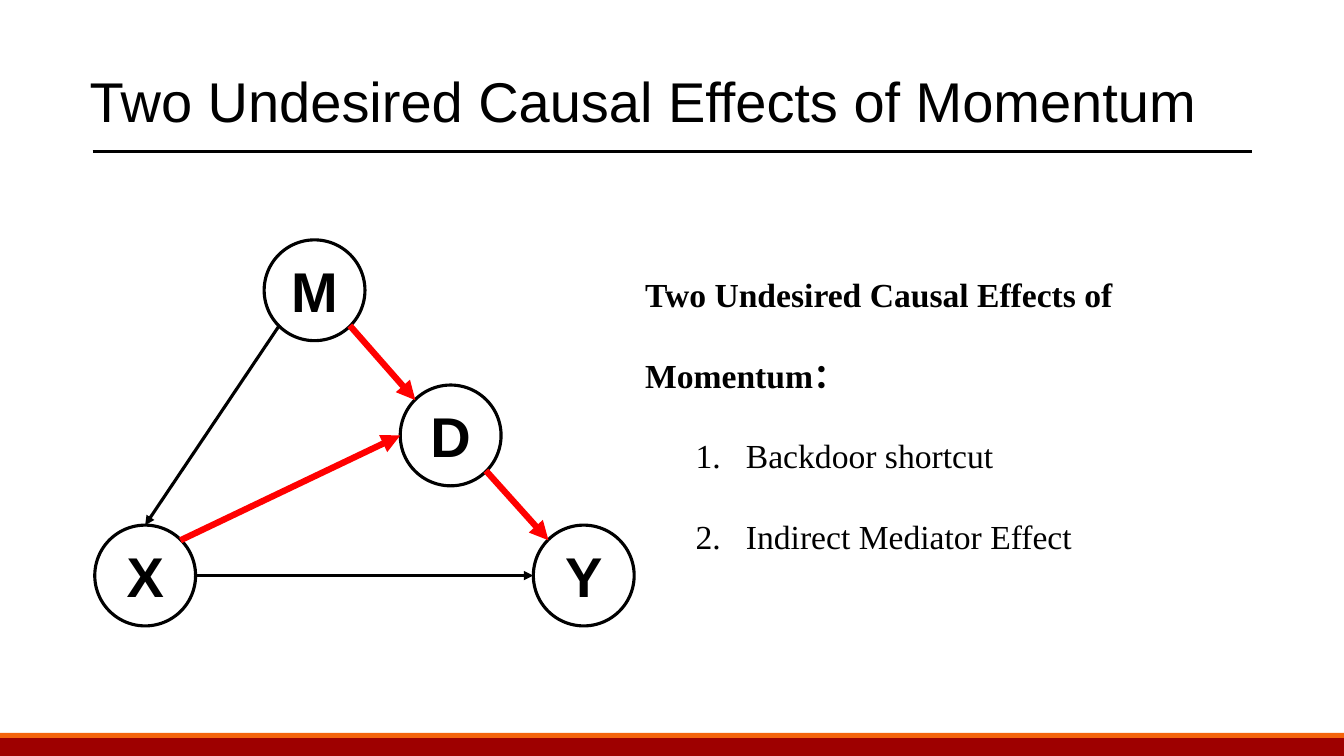
from lxml import etree
from pptx import Presentation
from pptx.dml.color import RGBColor
from pptx.enum.shapes import MSO_CONNECTOR, MSO_SHAPE
from pptx.enum.text import MSO_ANCHOR, PP_ALIGN
from pptx.oxml.ns import qn
from pptx.util import Pt

PX = 9144
RECT = MSO_SHAPE.RECTANGLE
OVAL = MSO_SHAPE.OVAL
LINE = MSO_CONNECTOR.STRAIGHT
MIDDLE = MSO_ANCHOR.MIDDLE
CENTER = PP_ALIGN.CENTER
BLACK = RGBColor(0, 0, 0)
WHITE = RGBColor(255, 255, 255)
RED = RGBColor(255, 0, 0)
MAROON = RGBColor(0x9E, 0, 0)
ORANGE = RGBColor(0xF5, 0x64, 0x0B)
SANS = "Arial"
SERIF = "Times New Roman"
RADIUS = 50
DIAG = 35
SIDES = {
    "top": (0, -RADIUS), "left": (-RADIUS, 0), "right": (RADIUS, 0),
    "top left": (-DIAG, -DIAG), "top right": (DIAG, -DIAG),
    "low left": (-DIAG, DIAG), "low right": (DIAG, DIAG),
}


class Canvas:
    def __init__(self, slide):
        self.shapes = slide.shapes

    def run(self, para, text, size, font, bold=False):
        run = para.add_run()
        run.text = text
        run.font.size = Pt(size)
        run.font.name = font
        run.font.bold = bold
        run.font.color.rgb = BLACK

    def shape(self, kind, box, fill):
        shape = self.shapes.add_shape(kind, *(n * PX for n in box))
        shape.shadow.inherit = False
        shape.fill.solid()
        shape.fill.fore_color.rgb = fill
        shape.line.fill.background()
        return shape

    def node(self, name, x, y):
        box = (x - RADIUS, y - RADIUS, 2 * RADIUS, 2 * RADIUS)
        shape = self.shape(OVAL, box, WHITE)
        shape.line.color.rgb = BLACK
        shape.line.width = Pt(2.25)
        shape.text_frame.vertical_anchor = MIDDLE
        para = shape.text_frame.paragraphs[0]
        para.alignment = CENTER
        self.run(para, name, 40, SANS, True)

    def line(self, start, end, color=BLACK, width=2.25, arrow=False):
        line = self.shapes.add_connector(LINE, *(n * PX for n in start + end))
        line.line.color.rgb = color
        line.line.width = Pt(width)
        if arrow:
            stroke = line.line._get_or_add_ln()
            etree.SubElement(stroke, qn("a:tailEnd"), type="triangle")
        etree.SubElement(line._element.spPr, qn("a:effectLst"))

    def frame(self, box):
        frame = self.shapes.add_textbox(*(n * PX for n in box)).text_frame
        frame.word_wrap = True
        return frame

    def title(self, text, box):
        frame = self.frame(box)
        frame.vertical_anchor = MIDDLE
        para = frame.paragraphs[0]
        para.line_spacing = 0.9
        self.run(para, text, 40, SANS)

    def list(self, head, items, box):
        frame = self.frame(box)
        frame.margin_right = 30 * PX
        para = frame.paragraphs[0]
        para.line_spacing = 2.0
        self.run(para, head, 24, SERIF, True)
        for item in items:
            para = frame.add_paragraph()
            para.level = 1
            para.line_spacing = 2.0
            props = para._p.get_or_add_pPr()
            props.set("marL", str(100 * PX))
            props.set("indent", str(-50 * PX))
            etree.SubElement(props, qn("a:buFont"), typeface="+mj-lt")
            etree.SubElement(props, qn("a:buAutoNum"), type="arabicPeriod")
            self.run(para, item, 24, SERIF)


def main():
    deck = Presentation()
    deck.slide_width = 1333 * PX
    deck.slide_height = 750 * PX
    canvas = Canvas(deck.slides.add_slide(deck.slide_layouts[6]))

    canvas.shape(RECT, (0, 729, 1333, 21), MAROON)
    canvas.shape(RECT, (0, 727, 1333, 5), ORANGE)
    canvas.line((92, 150), (1242, 150))
    canvas.title("Two Undesired Causal Effects of Momentum", (79, 31, 1245, 145))

    nodes = {"M": (312, 288), "X": (144, 571), "D": (447, 432), "Y": (579, 571)}
    for name, (x, y) in nodes.items():
        canvas.node(name, x, y)

    links = [
        ("M", "low right", "D", "top left", RED, 4.5),
        ("D", "low right", "Y", "top left", RED, 4.5),
        ("M", "low left", "X", "top", BLACK, 2.25),
        ("X", "top right", "D", "left", RED, 4.5),
        ("X", "right", "Y", "left", BLACK, 2.25),
    ]
    for tail, out, head, into, color, width in links:
        start = tuple(map(sum, zip(nodes[tail], SIDES[out])))
        end = tuple(map(sum, zip(nodes[head], SIDES[into])))
        canvas.line(start, end, color, width, True)

    canvas.list(
        "Two Undesired Causal Effects of Momentum：",
        ["Backdoor shortcut", "Indirect Mediator Effect"],
        (630, 227, 699, 321),
    )
    deck.save("out.pptx")


if __name__ == "__main__":
    main()
